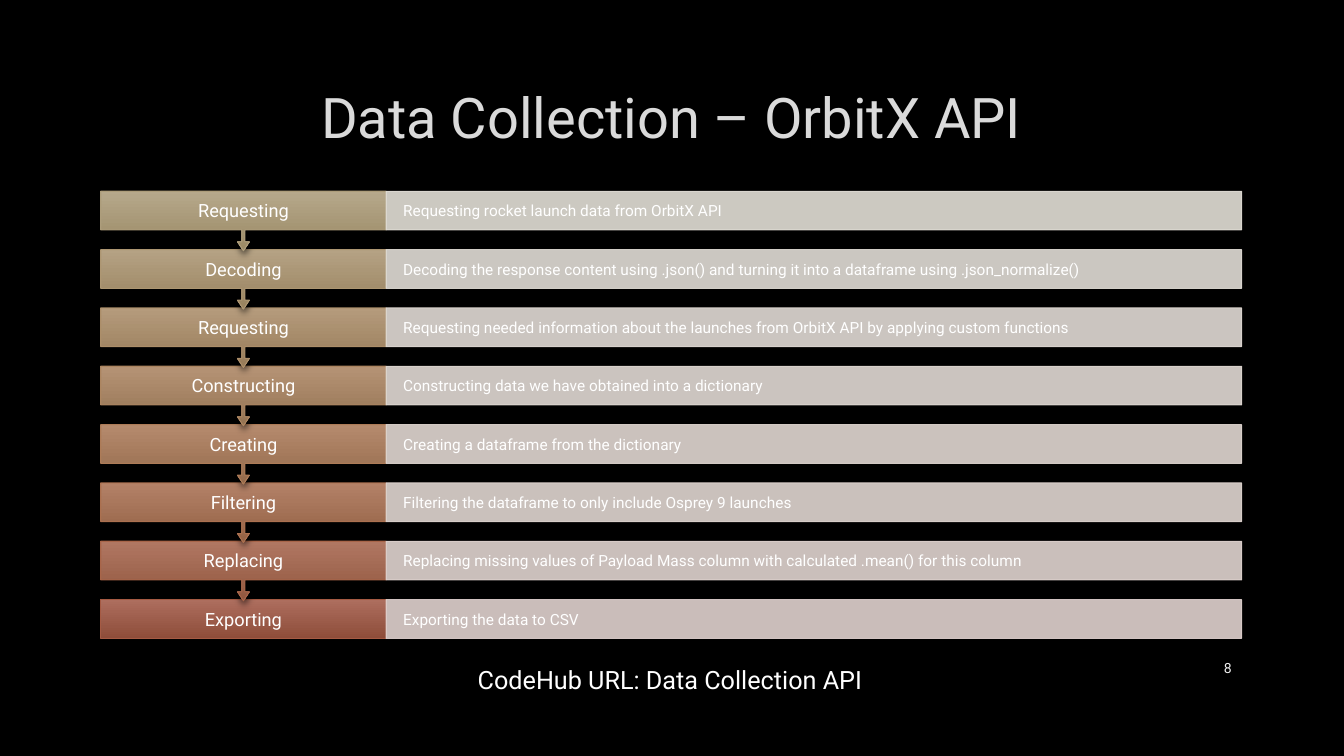
"""Build the slide on collecting launch data through an API."""
from dataclasses import dataclass

from lxml.etree import SubElement
from pptx import Presentation
from pptx.dml.color import RGBColor as RGB
from pptx.enum.shapes import MSO_SHAPE as Shape
from pptx.enum.text import MSO_ANCHOR as Anchor, MSO_AUTO_SIZE as Fit, PP_ALIGN as Align
from pptx.oxml.ns import qn
from pptx.util import Cm, Pt


@dataclass(frozen=True)
class Theme:
    font: str = "Roboto"
    back: str = "000000"
    head: str = "DADADA"
    text: str = "FFFFFF"
    page: str = "F2F2F2"
    head_size: int = 40
    link_size: int = 18
    step_size: int = 13
    note_size: int = 11
    page_size: int = 10
    light: tuple = ("B6A88B", "B5A284", "B59B7C", "B59375", "B58A6D", "B38167", "B07762", "AD6E5E")
    dark: tuple = ("9A8964", "98825E", "977B58", "947352", "946A4B", "936144", "91573F", "8E4D3A")
    edge: tuple = ("AD9D7B", "AD9672", "AC8E69", "AC8560", "AD7B57", "AB704F", "A86549", "A55A43")
    pale: tuple = ("E3DFD7", "E2DDD6", "E2DBD5", "E2DAD4", "E2D8D2", "E1D6D1", "E1D4D0", "E1D2CF")


theme = Theme()


def write(shape, text, size, color, align, pad=0.25):
    """Fill a shape with one formatted line of text."""
    frame = shape.text_frame
    frame.text = text
    frame.word_wrap = True
    frame.auto_size = Fit.NONE
    frame.vertical_anchor = Anchor.MIDDLE
    frame.margin_left = frame.margin_right = Cm(pad)
    frame.margin_top = frame.margin_bottom = Cm(0)
    line = frame.paragraphs[0]
    line.alignment = align
    font = line.runs[0].font
    font.name, font.size = theme.font, Pt(size)
    font.color.rgb = RGB.from_string(color)


def outline(shape, color):
    """Give a shape a thin line and no inherited shadow."""
    shape.shadow.inherit = False
    shape.line.color.rgb = RGB.from_string(color)
    shape.line.width = Pt(0.75)


steps = [
    ("Requesting", "Requesting rocket launch data from OrbitX API"),
    ("Decoding", "Decoding the response content using .json() and turning it into a dataframe using .json_normalize()"),
    ("Requesting", "Requesting needed information about the launches from OrbitX API by applying custom functions"),
    ("Constructing", "Constructing data we have obtained into a dictionary"),
    ("Creating", "Creating a dataframe from the dictionary"),
    ("Filtering", "Filtering the dataframe to only include Osprey 9 launches"),
    ("Replacing", "Replacing missing values of Payload Mass column with calculated .mean() for this column"),
    ("Exporting", "Exporting the data to CSV"),
]
left, top, pitch = 2.54, 4.82, 1.47
step_wide, note_wide = 7.19, 21.56
tall, body = 1.5, 0.65
row = tall * body

prs = Presentation()
prs.slide_width, prs.slide_height = Cm(33.87), Cm(19.05)
slide = prs.slides.add_slide(prs.slide_layouts[5])
slide.background.fill.solid()
slide.background.fill.fore_color.rgb = RGB.from_string(theme.back)
shapes = slide.shapes

title = shapes.title
title.left, title.top, title.width, title.height = Cm(left), Cm(1.7), Cm(28.75), Cm(2.69)
write(title, "Data Collection – OrbitX API", theme.head_size, theme.head, Align.CENTER)
title.text_frame.paragraphs[0].line_spacing = 0.9

page = shapes.add_textbox(Cm(29.21), Cm(16.33), Cm(2.08), Cm(1.02))
write(page, "8", theme.page_size, theme.page, Align.RIGHT)

for i, (name, text) in reversed(list(enumerate(steps))):
    y = top + i * pitch
    last = i == len(steps) - 1
    kind = Shape.RECTANGLE if last else Shape.DOWN_ARROW_CALLOUT
    step = shapes.add_shape(kind, Cm(left), Cm(y), Cm(step_wide), Cm(row if last else tall))
    if not last:
        for n, value in enumerate((0.05, 0.1, 0.15, body)):
            step.adjustments[n] = value
    step.fill.gradient()
    step.fill.gradient_angle = 270
    for stop, color, place in zip(step.fill.gradient_stops, (theme.light[i], theme.dark[i]), (0, 1)):
        stop.color.rgb = RGB.from_string(color)
        stop.position = place
    outline(step, theme.edge[i])
    effects = step._element.spPr.find(qn("a:effectLst"))
    shade = SubElement(effects, qn("a:outerShdw"), blurRad="63500", dist="25400", dir="5400000", rotWithShape="0")
    black = SubElement(shade, qn("a:srgbClr"), val=theme.back)
    SubElement(black, qn("a:alpha"), val="60000")
    write(step, name, theme.step_size, theme.text, Align.CENTER, 0.5)

    note = shapes.add_shape(Shape.RECTANGLE, Cm(left + step_wide), Cm(y), Cm(note_wide), Cm(row))
    note.fill.solid()
    note.fill.fore_color.rgb = RGB.from_string(theme.pale[i])
    outline(note, theme.pale[i])
    for color in note._element.spPr.iter(qn("a:srgbClr")):
        SubElement(color, qn("a:alpha"), val="90000")
    write(note, text, theme.note_size, theme.text, Align.LEFT, 0.43)

link = shapes.add_textbox(Cm(11.79), Cm(16.61), Cm(10.26), Cm(1.02))
write(link, "CodeHub URL: Data Collection API", theme.link_size, theme.text, Align.LEFT)

prs.save("out.pptx")
